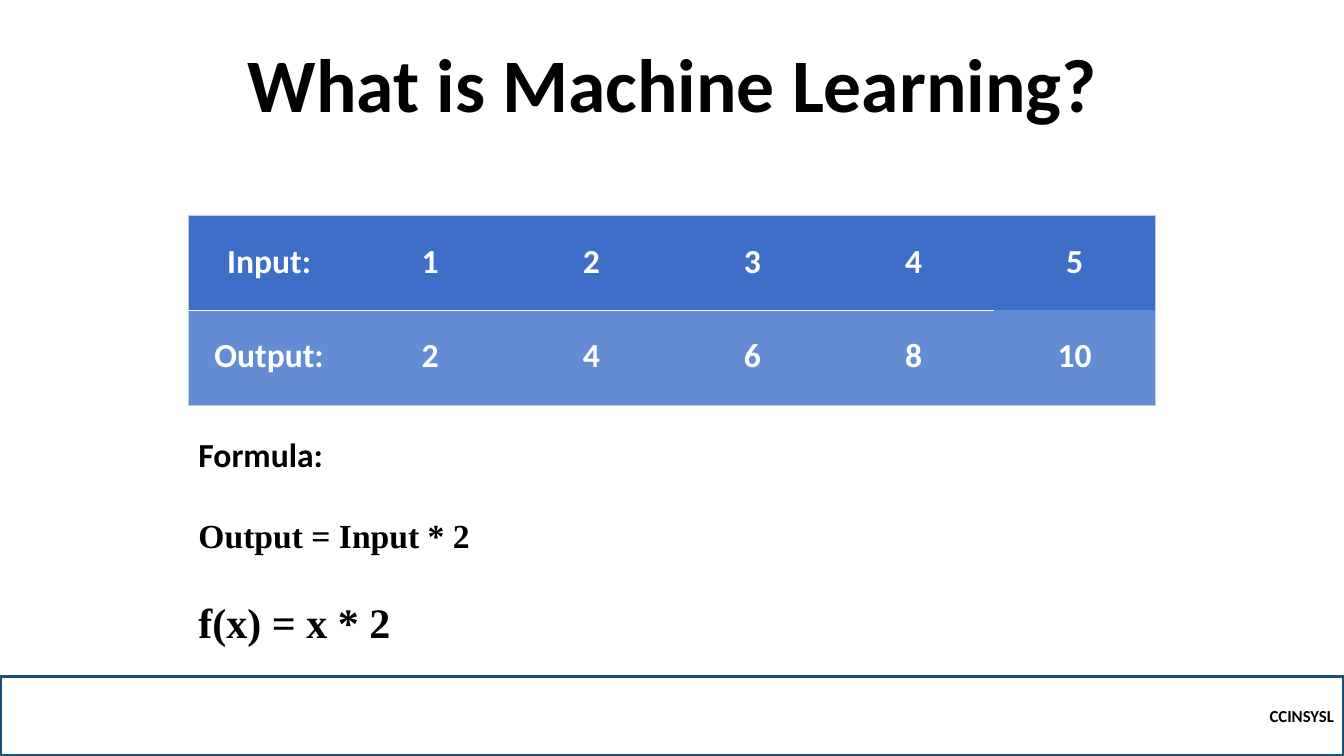
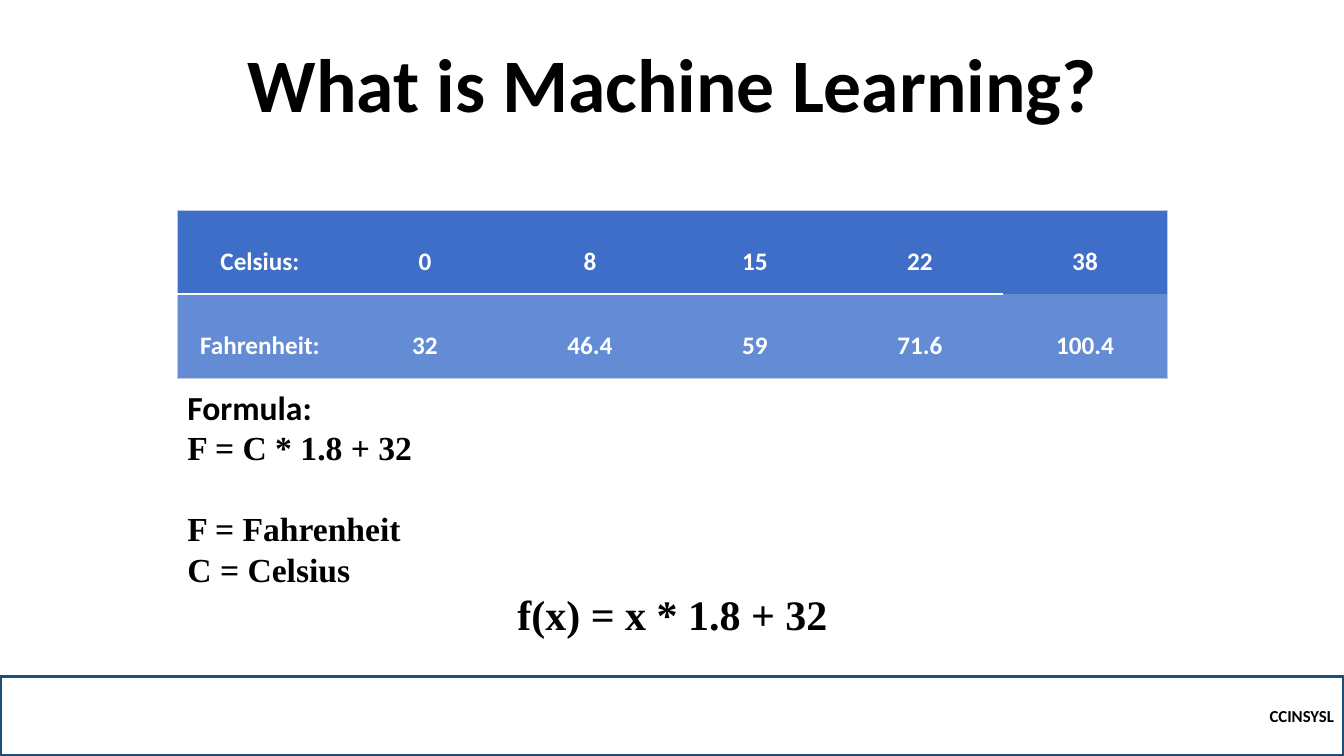
"""Two slides on what machine learning is, each with a table and its formula."""
from dataclasses import dataclass

from lxml.etree import SubElement
from pptx import Presentation
from pptx.dml.color import RGBColor
from pptx.enum.shapes import MSO_SHAPE
from pptx.enum.text import MSO_ANCHOR, MSO_AUTO_SIZE, PP_ALIGN
from pptx.oxml.ns import qn
from pptx.util import Inches, Pt


@dataclass(frozen=True)
class Theme:
    ink: str = "000000"
    pale: str = "FFFFFF"
    navy: str = "1F4E79"
    edge: str = "C1C9E4"
    rows: tuple = ("3E6EC8", "648CD4")
    sans: str = "Calibri"
    serif: str = "Times New Roman"
    title: int = 54
    math: int = 30
    body: int = 24
    small: int = 18
    foot: int = 12
    gap: int = 29
    plain: str = "{2D5ABB26-0587-4C30-8999-92F81FD0307C}"


class Deck:
    def __init__(self):
        self.theme = Theme()
        self.show = Presentation()
        self.show.slide_width = Inches(13.33)
        self.show.slide_height = Inches(7.5)
        self.slide = None

    def style(self, para, size, face=None, color=None, align=PP_ALIGN.LEFT):
        para.alignment = align
        font = para.font
        font.name = face or self.theme.sans
        font.size = Pt(size)
        font.bold = True
        font.color.rgb = RGBColor.from_string(color or self.theme.ink)

    def start(self, text):
        self.slide = self.show.slides.add_slide(self.show.slide_layouts[5])
        head = self.slide.shapes.title
        head.left, head.top = Inches(1.67), Inches(0.54)
        head.width, head.height = Inches(10), Inches(0.79)
        frame = head.text_frame
        frame.text = text
        frame.auto_size = MSO_AUTO_SIZE.NONE
        frame.vertical_anchor = MSO_ANCHOR.BOTTOM
        para = frame.paragraphs[0]
        para.line_spacing = 0.9
        self.style(para, self.theme.title, align=PP_ALIGN.CENTER)
        self.band("CCINSYSL")

    def band(self, text):
        bar = self.slide.shapes.add_shape(
            MSO_SHAPE.RECTANGLE, 0, Inches(6.71), Inches(13.33), Inches(0.79))
        bar.shadow.inherit = False
        bar.fill.background()
        bar.line.color.rgb = RGBColor.from_string(self.theme.navy)
        bar.line.width = Pt(2.25)
        frame = bar.text_frame
        frame.text = text
        frame.vertical_anchor = MSO_ANCHOR.MIDDLE
        self.style(frame.paragraphs[0], self.theme.foot, align=PP_ALIGN.RIGHT)

    def border(self, cell, side, color, width):
        props = cell._tc.get_or_add_tcPr()
        line = SubElement(props, qn(f"a:ln{side}"), w=str(Pt(width)))
        fill = SubElement(line, qn("a:solidFill"))
        SubElement(fill, qn("a:srgbClr"), val=color)

    def table(self, left, top, width, height, data, size, space):
        last_row, last_col = len(data) - 1, len(data[0]) - 1
        grid = self.slide.shapes.add_table(
            len(data), len(data[0]), Inches(left), Inches(top),
            Inches(width), Inches(height)).table
        grid.first_row = grid.horz_banding = False
        grid._tbl.tblPr.find(qn("a:tableStyleId")).text = self.theme.plain
        thin, rule = (self.theme.edge, 0.5), (self.theme.pale, 1.5)
        for row, line in enumerate(data):
            for col, text in enumerate(line):
                cell = grid.cell(row, col)
                cell.text = text
                para = cell.text_frame.paragraphs[0]
                para.line_spacing = space
                self.style(para, size, color=self.theme.pale, align=PP_ALIGN.CENTER)
                inner = rule if col < last_col else None
                sides = {
                    "L": thin if col == 0 else None,
                    "R": thin if col == last_col else None,
                    "T": thin if row == 0 else inner,
                    "B": thin if row == last_row else inner,
                }
                for side, pen in sides.items():
                    if pen:
                        self.border(cell, side, *pen)
                cell.fill.solid()
                cell.fill.fore_color.rgb = RGBColor.from_string(self.theme.rows[row])

    def notes(self, left, top, width, height, lines):
        box = self.slide.shapes.add_textbox(
            Inches(left), Inches(top), Inches(width), Inches(height))
        frame = box.text_frame
        frame.word_wrap = True
        for num, (text, size, face, gap, align) in enumerate(lines):
            para = frame.add_paragraph() if num else frame.paragraphs[0]
            para.text = text
            if gap:
                para.space_before = Pt(gap)
            self.style(para, size, face, align=align)


def main():
    deck = Deck()
    look = deck.theme
    left, mid = PP_ALIGN.LEFT, PP_ALIGN.CENTER
    title = "What is Machine Learning?"
    label = ("Formula:", look.body, look.sans, 0, left)

    deck.start(title)
    deck.table(1.87, 2.14, 9.59, 1.88, [
        ["Input:", "1", "2", "3", "4", "5"],
        ["Output:", "2", "4", "6", "8", "10"],
    ], look.body, 1.5)
    deck.notes(1.87, 4.26, 9.59, 2.22, [
        label,
        ("Output = Input * 2", look.body, look.serif, look.gap, left),
        ("f(x) = x * 2", look.math, look.serif, look.gap, left),
    ])

    deck.start(title)
    deck.table(1.76, 2.09, 9.82, 1.66, [
        ["Celsius:", "0", "8", "15", "22", "38"],
        ["Fahrenheit:", "32", "46.4", "59", "71.6", "100.4"],
    ], look.small, 2.0)
    deck.notes(1.76, 3.79, 9.82, 3.13, [
        label,
        ("F = C * 1.8 + 32", look.body, look.serif, 0, left),
        ("F = Fahrenheit", look.body, look.serif, look.gap, left),
        ("C = Celsius", look.body, look.serif, 0, left),
        ("f(x) = x * 1.8 + 32", look.math, look.serif, 0, mid),
    ])
    deck.show.save("out.pptx")


if __name__ == "__main__":
    main()
